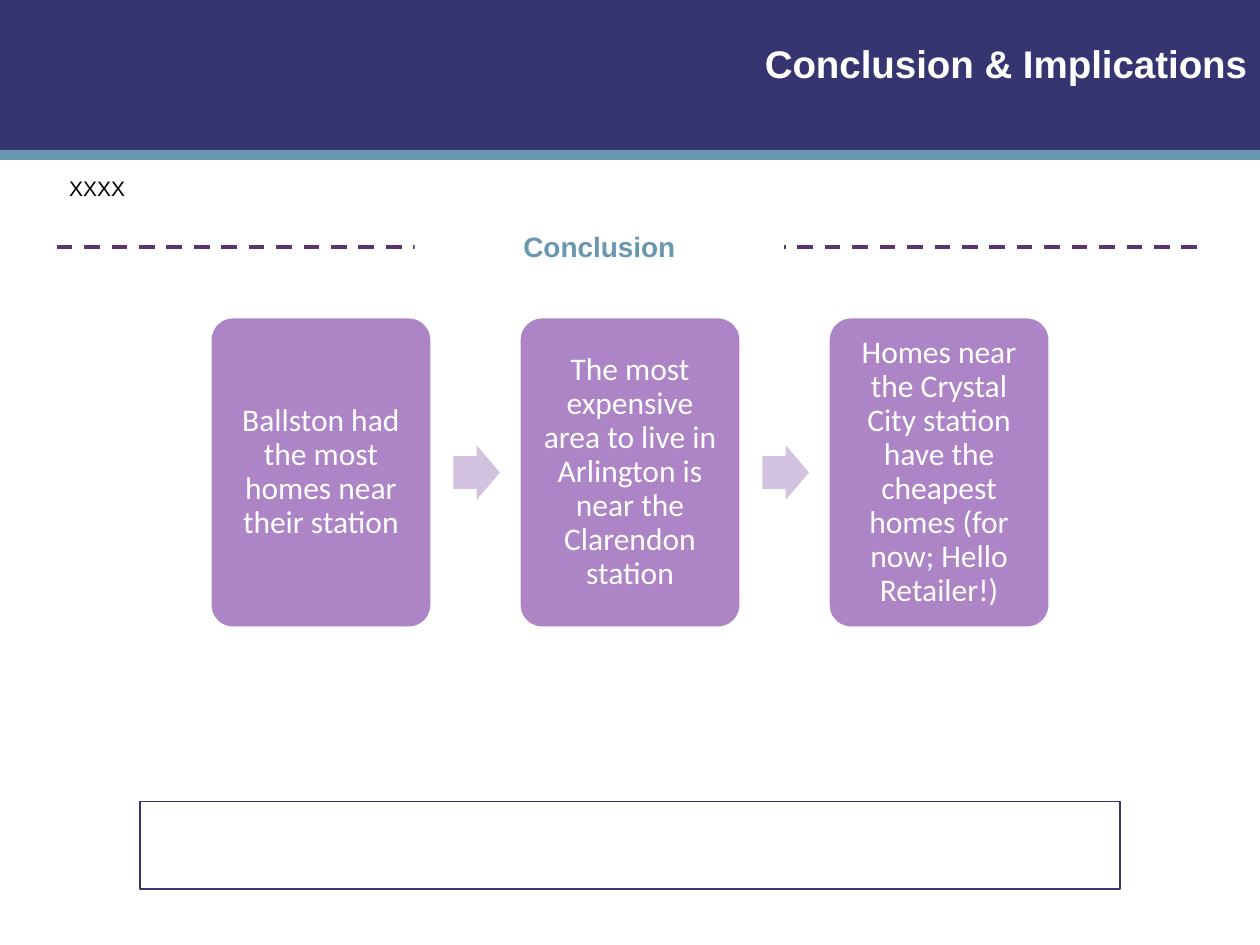
from pptx import Presentation
from pptx.dml.color import RGBColor
from pptx.enum.dml import MSO_LINE
from pptx.enum.shapes import MSO_CONNECTOR, MSO_SHAPE
from pptx.enum.text import MSO_ANCHOR as ANCHOR, MSO_AUTO_SIZE, PP_ALIGN as ALIGN
from pptx.oxml.ns import qn
from pptx.util import Pt
from lxml.etree import SubElement

TITLE = "Conclusion & Implications"
SUBTITLE = "XXXX"
HEADING = "Conclusion"
STEPS = [
    "Ballston had the most homes near their station",
    "The most expensive area to live in Arlington is near the Clarendon station",
    "Homes near the Crystal City station have the cheapest homes (for now; Hello Retailer!)",
]
COLORS = {
    "navy": "373472", "teal": "6997AF", "plum": "5A3471", "card": "AD84C6",
    "arrow": "D3C2DF", "white": "FFFFFF", "black": "000000",
}
SLIDE_W, SLIDE_H = 720, 540
BAND_H = 88.5
CARD_W, CARD_H, CARD_TOP, CARD_PITCH = 126, 177, 181.5, 176.6
ARROW_W, ARROW_H, ARROW_GAP = 26.6, 31.2, 12.7


def rgb(name):
    return RGBColor.from_string(COLORS[name])


def add_box(s, kind, left, top, width, height, fill=None, line=None):
    sp = s.shapes.add_shape(kind, Pt(left), Pt(top), Pt(width), Pt(height))
    sp.shadow.inherit = False
    if fill:
        sp.fill.solid()
        sp.fill.fore_color.rgb = rgb(fill)
    else:
        sp.fill.background()
    if line:
        sp.line.color.rgb = rgb(line)
        sp.line.width = Pt(1)
    else:
        sp.line.fill.background()
    return sp


def add_rule(s, x1, x2, y, color, width):
    rule = s.shapes.add_connector(MSO_CONNECTOR.STRAIGHT, Pt(x1), Pt(y), Pt(x2), Pt(y))
    rule.line.color.rgb = rgb(color)
    rule.line.width = Pt(width)
    SubElement(rule._element.spPr, qn("a:effectLst"))
    return rule


def write(sp, text, size, color, align=ALIGN.LEFT, anchor=ANCHOR.TOP, font="Arial", bold=False):
    tf = sp.text_frame
    tf.text = text
    tf.word_wrap = True
    tf.auto_size = MSO_AUTO_SIZE.NONE
    tf.vertical_anchor = anchor
    p = tf.paragraphs[0]
    p.alignment = align
    r = p.runs[0]
    r.font.name, r.font.size, r.font.bold = font, Pt(size), bold
    r.font.color.rgb = rgb(color)
    return tf


def add_steps(s):
    first = (SLIDE_W - CARD_PITCH * (len(STEPS) - 1) - CARD_W) / 2
    for i, text in enumerate(STEPS):
        left = first + i * CARD_PITCH
        card = add_box(s, MSO_SHAPE.ROUNDED_RECTANGLE, left, CARD_TOP, CARD_W, CARD_H, "card", "white")
        card.adjustments[0] = 0.1
        tf = write(card, text, 18, "white", ALIGN.CENTER, ANCHOR.MIDDLE, "Calibri")
        tf.margin_left = tf.margin_right = tf.margin_top = tf.margin_bottom = Pt(5)
        tf.paragraphs[0].line_spacing = 0.9
        if i < len(STEPS) - 1:
            arrow = add_box(s, MSO_SHAPE.RIGHT_ARROW, left + CARD_W + ARROW_GAP,
                            CARD_TOP + (CARD_H - ARROW_H) / 2, ARROW_W, ARROW_H, "arrow")
            arrow.adjustments[0] = 0.6


def main():
    """Build the conclusion slide with its three-step flow."""
    prs = Presentation()
    prs.slide_width, prs.slide_height = Pt(SLIDE_W), Pt(SLIDE_H)
    s = prs.slides.add_slide(prs.slide_layouts[5])

    add_rule(s, 32.4, 687.6, 141, "plum", 2.25).line.dash_style = MSO_LINE.DASH
    band = add_box(s, MSO_SHAPE.RECTANGLE, 0, 0, SLIDE_W, BAND_H, "navy")

    title = s.shapes.title
    title.left, title.top, title.width, title.height = Pt(237), Pt(19.5), Pt(483), Pt(34)
    write(title, TITLE, 22, "white", ALIGN.RIGHT, bold=True)
    band._element.addnext(title._element)

    subtitle = s.shapes.add_textbox(Pt(32.4), Pt(96.5), Pt(654.5), Pt(21.8))
    write(subtitle, SUBTITLE, 12, "black")
    heading = add_box(s, MSO_SHAPE.RECTANGLE, 237, 127.5, 211, 26.6, "white")
    write(heading, HEADING, 16, "teal", ALIGN.CENTER, bold=True)

    add_rule(s, 0, SLIDE_W, BAND_H, "teal", 6)
    add_box(s, MSO_SHAPE.RECTANGLE, 80, 458, 560, 50, line="navy")
    add_steps(s)
    prs.save("out.pptx")


if __name__ == "__main__":
    main()
